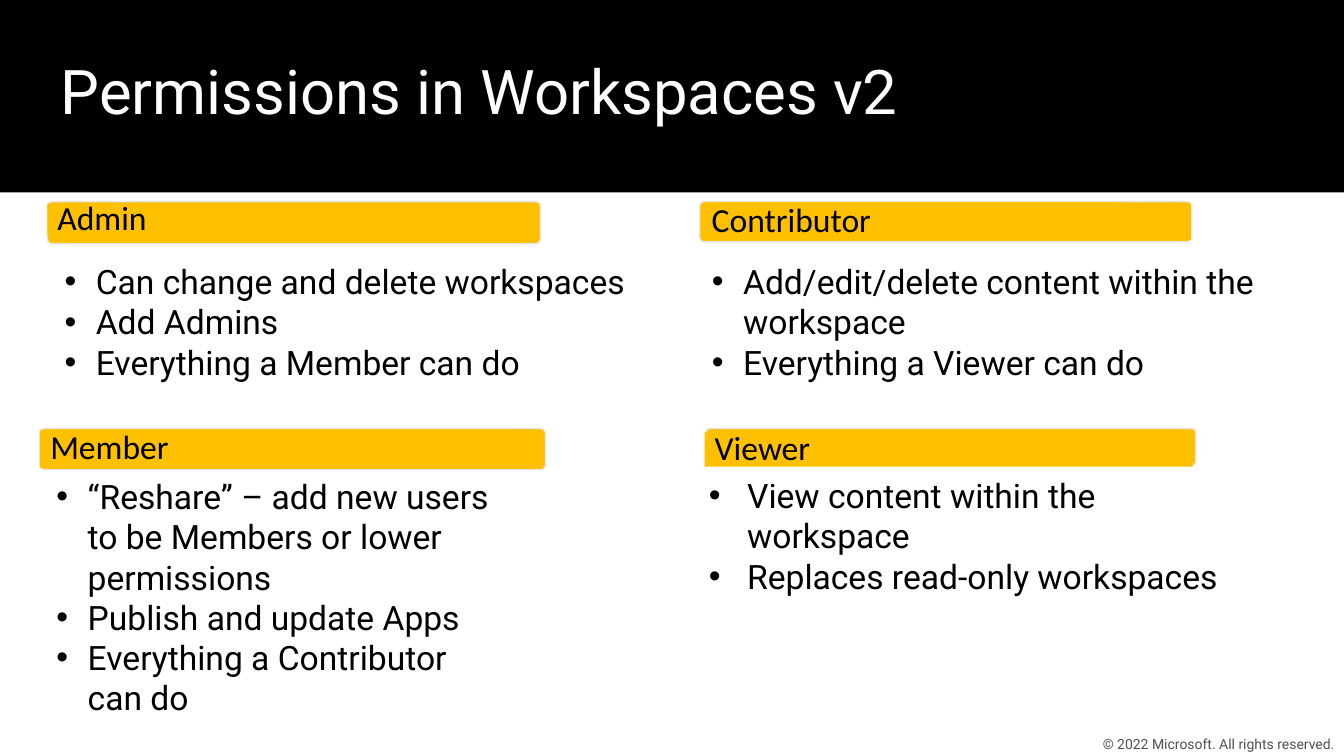
from lxml import etree
from pptx import Presentation
from pptx.dml.color import RGBColor
from pptx.enum.shapes import MSO_SHAPE
from pptx.enum.text import MSO_ANCHOR, MSO_AUTO_SIZE, PP_ALIGN
from pptx.oxml.ns import qn
from pptx.util import Inches, Pt

RECTANGLE, ROUNDED = MSO_SHAPE.RECTANGLE, MSO_SHAPE.ROUNDED_RECTANGLE
TOP, MIDDLE = MSO_ANCHOR.TOP, MSO_ANCHOR.MIDDLE
LEFT, CENTER = PP_ALIGN.LEFT, PP_ALIGN.CENTER
NO_AUTOFIT = MSO_AUTO_SIZE.NONE

BLACK = RGBColor(0x00, 0x00, 0x00)
WHITE = RGBColor(0xFF, 0xFF, 0xFF)
AMBER = RGBColor(0xFF, 0xC0, 0x00)
PALE_GREY = RGBColor(0xE7, 0xE6, 0xE6)
DARK_GREY = RGBColor(0x50, 0x50, 0x50)

COMPARISON_LAYOUT = 4

# Role, outline box, label box, list placeholder, list box, list indent, list items
ROLES = [
    ("Admin", (0.47, 2, 4.89, 0.42), (0.47, 2.02, 4.88, 0.31),
     1, (0.25, 2.56, 12.18, 0.74), 0.31,
     ["Can change and delete workspaces", "Add Admins", "Everything a Member can do"]),
    ("Member", (0.39, 4.25, 5.02, 0.41), (0.4, 4.27, 4.99, 0.37),
     2, (0.17, 4.69, 5.01, 1.11), 0.31,
     ["“Reshare” – add new users to be Members or lower permissions",
      "Publish and update Apps", "Everything a Contributor can do"]),
    ("Contributor", (6.94, 2, 4.88, 0.4), (6.96, 2.02, 4.85, 0.36),
     3, (6.67, 2.56, 6.35, 1.11), 0.31,
     ["Add/edit/delete content within the workspace", "Everything a Viewer can do"]),
    ("Viewer", (7, 4.25, 4.86, 0.37), (6.99, 4.29, 4.84, 0.34),
     4, (6.64, 4.68, 5.75, 0.74), 0.38,
     ["View content within the workspace", "Replaces read-only workspaces"]),
]


def apply(target, values):
    for name, value in values.items():
        setattr(target, name, value)


class PermissionsSlide:
    def __init__(self, slide):
        self.slide = slide
        self.title_font = {"name": "Roboto", "size": Pt(44), "bold": False}
        self.list_font = {"name": "Roboto", "size": Pt(24), "bold": False}
        self.label_font = {"name": "Calibri", "size": Pt(24)}
        self.footer_font = {"name": "Roboto", "size": Pt(10)}

    def place(self, shape, box):
        apply(shape, dict(zip(("left", "top", "width", "height"), map(Inches, box))))

    def frame(self, shape, insets, anchor):
        frame = shape.text_frame
        sides = ("margin_left", "margin_top", "margin_right", "margin_bottom")
        apply(frame, dict(zip(sides, map(Inches, insets))))
        apply(frame, {"word_wrap": True, "auto_size": NO_AUTOFIT,
                      "vertical_anchor": anchor})
        return frame

    def set_text(self, paragraph, text, font, color, **layout):
        paragraph.text = text
        apply(paragraph, layout)
        apply(paragraph.font, font)
        paragraph.font.color.rgb = color

    def block(self, shapes, kind, box, fill, line=None):
        shape = shapes.add_shape(kind, *map(Inches, box))
        shape.shadow.inherit = False
        shape.fill.solid()
        shape.fill.fore_color.rgb = fill
        if line is None:
            shape.line.fill.background()
        else:
            shape.line.color.rgb = line
            shape.line.width = Pt(1)
        return shape

    def band(self, box):
        """Add the title's background behind everything else."""
        tree = self.slide.shapes._spTree
        tree.insert(2, self.block(self.slide.shapes, RECTANGLE, box, BLACK)._element)

    def title(self, text, box):
        title = self.slide.shapes.title
        self.place(title, box)
        frame = self.frame(title, (0.1, 0.1, 0.1, 0), TOP)
        self.set_text(frame.paragraphs[0], text, self.title_font, WHITE, alignment=LEFT)

    def heading(self, text, outline_box, label_box):
        shapes = self.slide.shapes.add_group_shape().shapes
        outline = self.block(shapes, ROUNDED, outline_box, AMBER, PALE_GREY)
        outline.adjustments[0] = 0.12
        label = self.block(shapes, RECTANGLE, label_box, AMBER)
        frame = self.frame(label, (0.1, 0.1, 0.1, 0.1), MIDDLE)
        self.set_text(frame.paragraphs[0], text, self.label_font, BLACK,
                      alignment=LEFT, line_spacing=0.9)

    def bullets(self, index, items, box, indent):
        body = self.slide.placeholders[index]
        self.place(body, box)
        frame = self.frame(body, (0.39, 0.03, 0.19, 0.03), TOP)
        for number, item in enumerate(items):
            paragraph = frame.add_paragraph() if number else frame.paragraphs[0]
            properties = paragraph._p.get_or_add_pPr()
            properties.set("marL", str(Inches(indent)))
            properties.set("indent", str(-Inches(indent)))
            etree.SubElement(properties, qn("a:buFont"), typeface="Arial")
            etree.SubElement(properties, qn("a:buChar"), char="•")
            self.set_text(paragraph, item, self.list_font, BLACK,
                          alignment=LEFT, space_before=Pt(0))

    def footer(self, text, box):
        footer = self.slide.shapes.add_textbox(*map(Inches, box))
        frame = self.frame(footer, (0, 0, 0.1, 0), MIDDLE)
        self.set_text(frame.paragraphs[0], text, self.footer_font, DARK_GREY,
                      alignment=CENTER)


def main():
    presentation = Presentation()
    presentation.slide_width = Inches(13.33)
    presentation.slide_height = Inches(7.5)
    layout = presentation.slide_layouts[COMPARISON_LAYOUT]
    page = PermissionsSlide(presentation.slides.add_slide(layout))

    page.band((0, 0, 13.33, 1.91))
    page.title("Permissions in Workspaces v2", (0.5, 0.42, 12.29, 0.76))
    for role, outline_box, label_box, index, list_box, indent, items in ROLES:
        page.heading(role, outline_box, label_box)
        page.bullets(index, items, list_box, indent)
    page.footer("© 2022 Microsoft. All rights reserved.", (10.58, 7.26, 3.11, 0.24))

    presentation.save("out.pptx")


if __name__ == "__main__":
    main()
